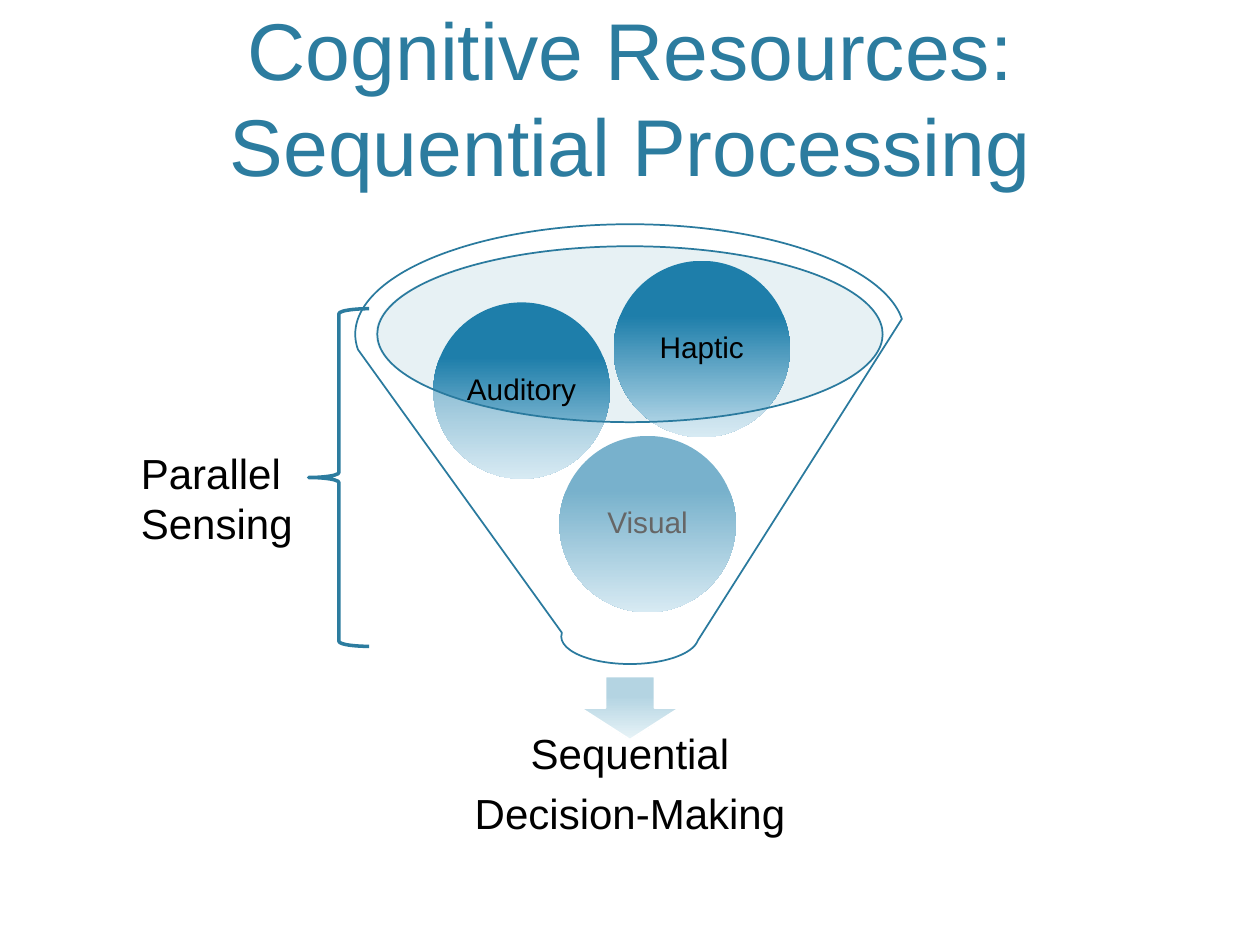
from lxml import etree
from pptx import Presentation
from pptx.dml.color import RGBColor
from pptx.enum import shapes, text
from pptx.oxml.ns import qn
from pptx.util import Inches, Pt

FONT = "Arial"
BLACK = "000000"
TEAL = "2C7C9F"
GEOM = shapes.MSO_SHAPE


def set_color(color_format, color):
    color_format.rgb = RGBColor.from_string(color)


def fill_solid(sp, color, opacity):
    sp.fill.solid()
    set_color(sp.fill.fore_color, color)
    clr = sp.fill._xPr.find(f"{qn('a:solidFill')}/{qn('a:srgbClr')}")
    etree.SubElement(clr, qn("a:alpha"), val=str(opacity * 1000))


def fill_downward(sp, top, bottom):
    """Hold the top colour for 31 %, then fade to the bottom colour."""
    sp.fill.gradient()
    grad = sp.fill._xPr.find(qn("a:gradFill"))
    stops = grad.find(qn("a:gsLst"))
    for stop in list(stops):
        stops.remove(stop)
    for pos, color in ((0, top), (31, top), (100, bottom)):
        stop = etree.SubElement(stops, qn("a:gs"), pos=str(pos * 1000))
        etree.SubElement(stop, qn("a:srgbClr"), val=color)
    lin = grad.find(qn("a:lin"))
    lin.set("ang", str(90 * 60000))
    lin.set("scaled", "0")


def add_shape(slide, geom, box, line=None, width=1):
    sp = slide.shapes.add_shape(geom, *map(Inches, box))
    sp.shadow.inherit = False
    sp.fill.background()
    if line:
        set_color(sp.line.color, line)
        sp.line.width = Pt(width)
    else:
        sp.line.fill.background()
    return sp


def set_text(sp, lines, size, color=BLACK, align=text.PP_ALIGN.CENTER,
             anchor=text.MSO_ANCHOR.MIDDLE, insets=(0.1, 0.05),
             spacing=None, after=None):
    tf = sp.text_frame
    tf.word_wrap = True
    tf.vertical_anchor = anchor
    tf.margin_left = tf.margin_right = Inches(insets[0])
    tf.margin_top = tf.margin_bottom = Inches(insets[1])
    tf.text = "\n".join(lines)
    for p in tf.paragraphs:
        p.alignment = align
        p.line_spacing = spacing
        if after is not None:
            p.space_after = Pt(after)
        p.font.name = FONT
        p.font.size = Pt(size)
        set_color(p.font.color, color)


def add_label(slide, box, lines, size, **style):
    sp = slide.shapes.add_textbox(*map(Inches, box))
    set_text(sp, lines, size, **style)


def add_sense(slide, name, left, top):
    sp = add_shape(slide, GEOM.OVAL, (left, top, 1.4, 1.4))
    fill_downward(sp, "1E7EAA", "BEDDEC")
    set_text(sp, [name], 17, insets=(0.02, 0.02), spacing=0.9, after=6)


def main():
    prs = Presentation()
    prs.slide_width, prs.slide_height = Inches(10), Inches(7.5)
    slide = prs.slides.add_slide(prs.slide_layouts[6])

    add_label(slide, (0.6, 0.12, 8.8, 1.46),
              ["Cognitive Resources:\vSequential Processing"], 46,
              color=TEAL, anchor=text.MSO_ANCHOR.BOTTOM)

    mouth = add_shape(slide, GEOM.OVAL, (2.98, 1.95, 4.02, 1.4))
    fill_solid(mouth, "C5DCE5", 40)
    arrow = add_shape(slide, GEOM.DOWN_ARROW, (4.61, 5.37, 0.78, 0.5), "FFFFFF")
    fill_downward(arrow, "B4D4E2", "E8F4F8")
    add_label(slide, (3.13, 5.77, 3.74, 0.94),
              ["Sequential", "Decision-Making"], 24,
              insets=(0.19, 0.19), spacing=0.9, after=8.4)

    for name, left, top in (("Visual", 4.44, 3.46),
                            ("Auditory", 3.44, 2.4),
                            ("Haptic", 4.87, 2.07)):
        add_sense(slide, name, left, top)
    funnel = add_shape(slide, GEOM.FUNNEL, (2.82, 1.78, 4.36, 3.49), "2A7A9E")
    fill_solid(funnel, "FFFFFF", 40)

    add_label(slide, (1.02, 3.5, 1.46, 0.91), ["Parallel", "Sensing"], 24,
              align=text.PP_ALIGN.LEFT, anchor=text.MSO_ANCHOR.TOP)
    brace = add_shape(slide, GEOM.LEFT_BRACE, (2.45, 2.45, 0.48, 2.68), TEAL, 2)
    brace.adjustments[0] = 0.083

    prs.save("out.pptx")


if __name__ == "__main__":
    main()
